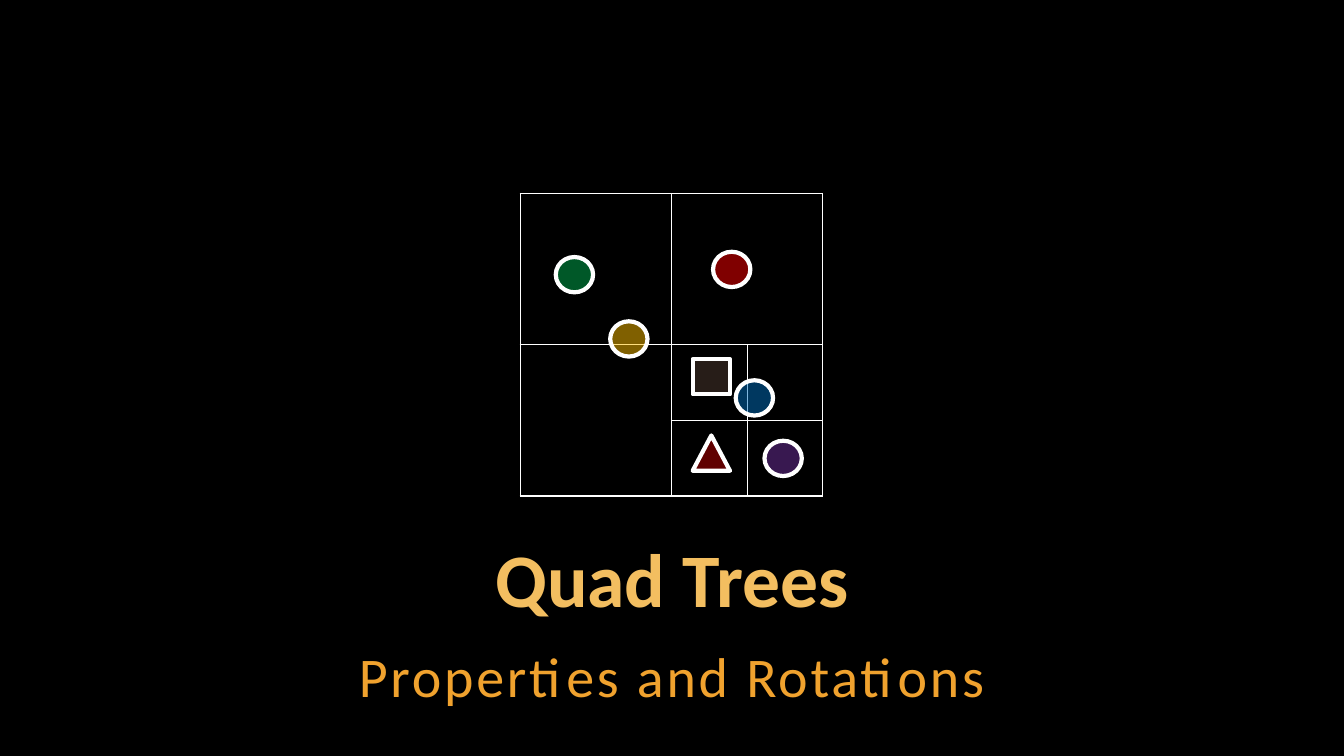
from lxml import etree
from pptx import Presentation
from pptx import util as u
from pptx.dml import color
from pptx.enum import shapes, text
from pptx.oxml import ns

WIDTH, HEIGHT = 13.33, 7.5
CELL = HEIGHT / 10                    # side of the smallest quadrant
TREE_LEFT, TREE_TOP = 5.16, 1.92
MARK_WIDTH, MARK_HEIGHT = 0.37, 0.35

COLORS = {
    "background": "000000", "line": "FFFFFF",
    "title": "F3BE60", "subtitle": "F0A22E",
    "green": "00B050", "red": "FF0000", "yellow": "FFC000", "blue": "0070C0",
    "purple": "7030A0", "crimson": "C00000", "brown": "4E3B30",
}

# Kind, colour, then left and top counted in cells of the tree
MARKS = [
    ("OVAL", "green", 0.47, 0.84),
    ("OVAL", "red", 2.55, 0.77),
    ("OVAL", "yellow", 1.19, 1.69),
    ("OVAL", "blue", 2.85, 2.47),
    ("OVAL", "purple", 3.23, 3.27),
    ("ISOSCELES_TRIANGLE", "crimson", 2.28, 3.2),
    ("RECTANGLE", "brown", 2.28, 2.19),
]


def rgb(name):
    return color.RGBColor.from_string(COLORS[name])


def add_heading(slide, wording, top, height, font_values, paragraph_values,
                anchor, color_name, tracking=0):
    """Add one centred line across the slide; tracking is in points."""
    box = slide.shapes.add_textbox(
        u.Inches(1), u.Inches(top), u.Inches(WIDTH - 2), u.Inches(height))
    frame = box.text_frame
    frame.word_wrap = True
    frame.vertical_anchor = anchor
    for side in ("left", "right", "top", "bottom"):
        setattr(frame, f"margin_{side}", u.Inches(0.04))
    paragraph = frame.paragraphs[0]
    paragraph.alignment = text.PP_ALIGN.CENTER
    for name, value in paragraph_values.items():
        setattr(paragraph, name, value)
    run = paragraph.add_run()
    run.text = wording
    for name, value in font_values.items():
        setattr(run.font, name, value)
    run.font.color.rgb = rgb(color_name)
    if tracking:
        run._r.get_or_add_rPr().set("spc", str(tracking * 100))


def add_borders(cell):
    properties = cell._tc.get_or_add_tcPr()
    for side in ("lnL", "lnR", "lnT", "lnB"):
        line = etree.SubElement(properties, ns.qn(f"a:{side}"), w=str(u.Pt(1)))
        fill = etree.SubElement(line, ns.qn("a:solidFill"))
        etree.SubElement(fill, ns.qn("a:srgbClr"), val=COLORS["line"])


def add_tree(slide):
    """Add the square, with only its lower right quadrant divided again."""
    side = u.Inches(4 * CELL)
    table = slide.shapes.add_table(
        3, 3, u.Inches(TREE_LEFT), u.Inches(TREE_TOP), side, side).table
    table.first_row = table.horz_banding = False
    for index, cells in enumerate((2, 1, 1)):
        table.columns[index].width = u.Inches(cells * CELL)
        table.rows[index].height = u.Inches(cells * CELL)
    for cell in table.iter_cells():
        add_borders(cell)
        cell.fill.background()
    table.cell(0, 1).merge(table.cell(0, 2))
    table.cell(1, 0).merge(table.cell(2, 0))


def add_mark(slide, kind, color_name, column, row):
    """Add a half transparent mark with a heavy outline."""
    shape = slide.shapes.add_shape(
        getattr(shapes.MSO_SHAPE, kind),
        u.Inches(TREE_LEFT + column * CELL), u.Inches(TREE_TOP + row * CELL),
        u.Inches(MARK_WIDTH), u.Inches(MARK_HEIGHT))
    shape.shadow.inherit = False
    shape.fill.solid()
    shape.fill.fore_color.rgb = rgb(color_name)
    fill_color = shape._element.spPr.find(
        f"{ns.qn('a:solidFill')}/{ns.qn('a:srgbClr')}")
    etree.SubElement(fill_color, ns.qn("a:alpha"), val="50000")
    shape.line.color.rgb = rgb("line")
    shape.line.width = u.Pt(3)


def main():
    presentation = Presentation()
    presentation.slide_width = u.Inches(WIDTH)
    presentation.slide_height = u.Inches(HEIGHT)
    slide = presentation.slides.add_slide(presentation.slide_layouts[6])
    slide.background.fill.solid()
    slide.background.fill.fore_color.rgb = rgb("background")

    # Title and subtitle
    add_heading(slide, "Quad Trees", 5.33, 0.9,
                {"name": "Calibri", "size": u.Pt(54), "bold": True},
                {"line_spacing": 0.9}, text.MSO_ANCHOR.BOTTOM, "title")
    add_heading(slide, "Properties and Rotations", 6.29, 0.79,
                {"name": "Calibri", "size": u.Pt(40)},
                {"line_spacing": 1.05, "space_after": u.Pt(6)},
                text.MSO_ANCHOR.TOP, "subtitle", tracking=2)

    # Quad tree and the items inside it
    add_tree(slide)
    for mark in MARKS:
        add_mark(slide, *mark)

    presentation.save("out.pptx")


if __name__ == "__main__":
    main()
